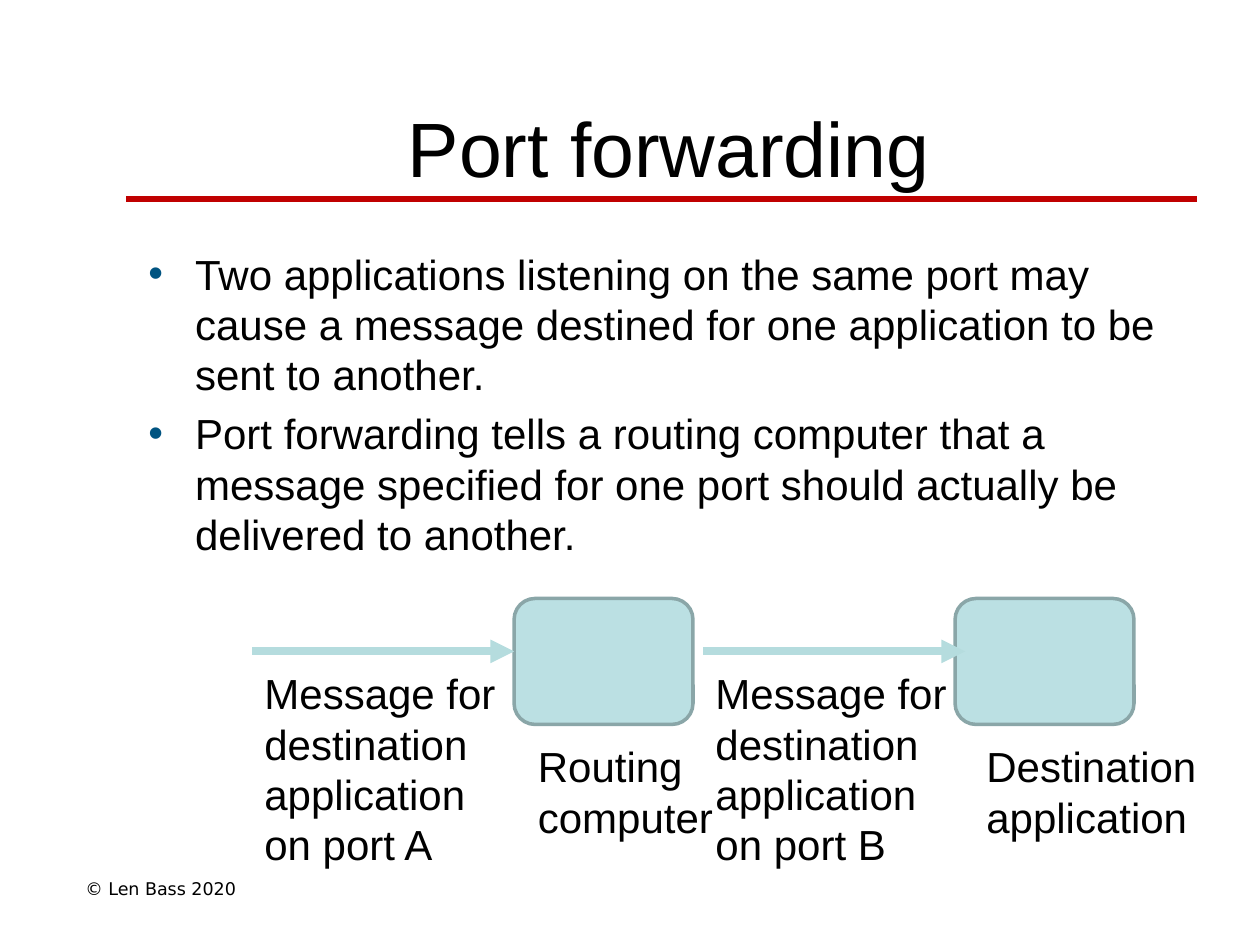
from lxml.etree import SubElement
from pptx import Presentation
from pptx.dml.color import RGBColor
from pptx.enum.shapes import MSO_CONNECTOR as Link, MSO_SHAPE as Shape
from pptx.enum.text import MSO_ANCHOR as Anchor, PP_ALIGN as Align
from pptx.oxml.ns import qn
from pptx.util import Cm, Pt

INCH = 2.54  # centimetres


def color(code):
    return RGBColor.from_string(code)


def lengths(*inches):
    return [Cm(value * INCH) for value in inches]


def apply(target, values):
    for name, value in values.items():
        setattr(target, name, value)


class SlideWriter:
    ink, bullet_ink, rule_ink = "000000", "005481", "C00000"
    node_fill, node_edge, arrow_ink = "BBE0E3", "8AA6A8", "B5DCDE"

    def __init__(self, slide):
        self.slide = slide

    def text(self, at, lines, size=24, font="Arial", align=Align.LEFT,
             bullets=False, **frame_format):
        box = self.slide.shapes.add_textbox(*lengths(*at))
        frame = box.text_frame
        apply(frame, {"word_wrap": True, **frame_format})
        for index, line in enumerate(lines):
            para = frame.add_paragraph() if index else frame.paragraphs[0]
            para.alignment = align
            if bullets:
                self.bullet(para)
                if index:
                    para.space_before = Pt(4.8)
            span = para.add_run()
            span.text = line
            apply(span.font, {"size": Pt(size), "name": font})
            span.font.color.rgb = color(self.ink)

    def bullet(self, para):
        props = para._p.get_or_add_pPr()
        left, hang = lengths(0.38, -0.37)
        props.set("marL", str(left))
        props.set("indent", str(hang))
        tint = SubElement(props, qn("a:buClr"))
        SubElement(tint, qn("a:srgbClr"), val=self.bullet_ink)
        SubElement(props, qn("a:buFont"), typeface="Arial")
        SubElement(props, qn("a:buChar"), char="•")

    def node(self, at):
        node = self.slide.shapes.add_shape(Shape.ROUNDED_RECTANGLE, *lengths(*at))
        node.shadow.inherit = False
        node.fill.solid()
        node.fill.fore_color.rgb = color(self.node_fill)
        node.line.color.rgb = color(self.node_edge)
        node.line.width = Pt(2)

    def line(self, left, right, y, ink, width, arrow=False):
        line = self.slide.shapes.add_connector(
            Link.STRAIGHT, *lengths(left, y, right, y))
        line.line.color.rgb = color(ink)
        line.line.width = Pt(width)
        if arrow:
            SubElement(line.line._get_or_add_ln(), qn("a:tailEnd"), type="triangle")
        SubElement(line._element.spPr, qn("a:effectLst"))


def main():
    deck = Presentation()
    deck.slide_width, deck.slide_height = lengths(10, 7.5)
    page = SlideWriter(deck.slides.add_slide(deck.slide_layouts[6]))

    # Footer, title and rule
    page.text((0.58, 6.92, 2.17, 0.27), ["© Len Bass 2020"], 10, "DejaVu Sans")
    page.text((1.1, 0.58, 8.42, 1.17), ["Port forwarding"], 44,
              align=Align.CENTER, vertical_anchor=Anchor.MIDDLE)
    page.line(1, 9.5, 1.58, page.rule_ink, 3)

    # Explanation
    page.text((1.07, 1.92, 8.42, 4.64), [
        "Two applications listening on the same port may cause a message "
        "destined for one application to be sent to another.",
        "Port forwarding tells a routing computer that a message specified "
        "for one port should actually be delivered to another.",
    ], bullets=True)

    # Computers with their captions
    for left, label_left, label_width, label in (
            (4.08, 4.17, 1.59, ["Routing", "computer"]),
            (7.58, 7.73, 1.96, ["Destination", "application"])):
        page.node((left, 4.75, 1.42, 1))
        page.text((label_left, 5.83, label_width, 0.9), label, word_wrap=False)

    # Messages on their way
    for left, port in ((2, "A"), (5.58, "B")):
        page.line(left, left + 2.08, 5.17, page.arrow_ink, 4.5, arrow=True)
        page.text((left, 5.25, 2.08, 1.7),
                  [f"Message for destination application on port {port}"])

    deck.save("out.pptx")


if __name__ == "__main__":
    main()
